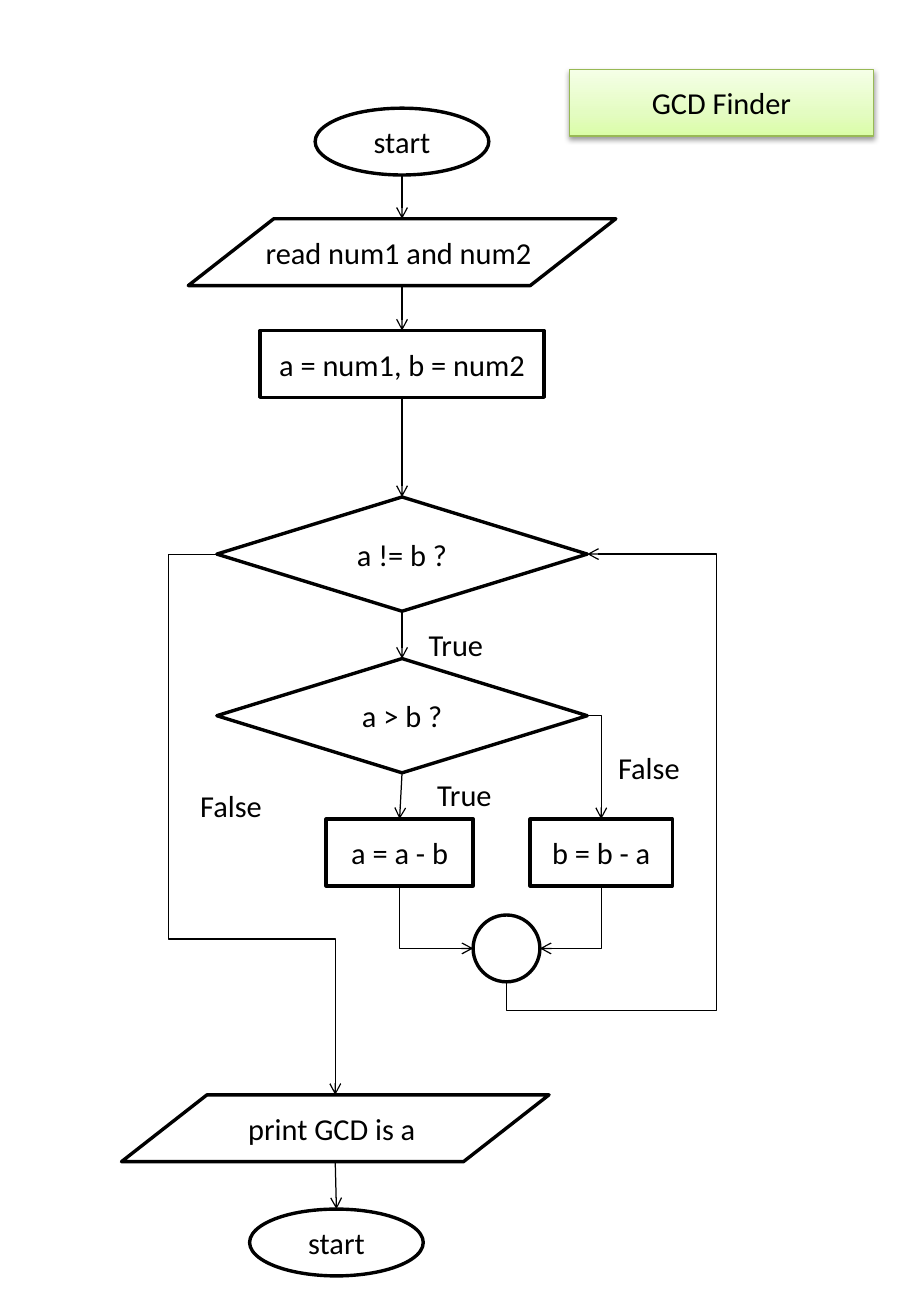
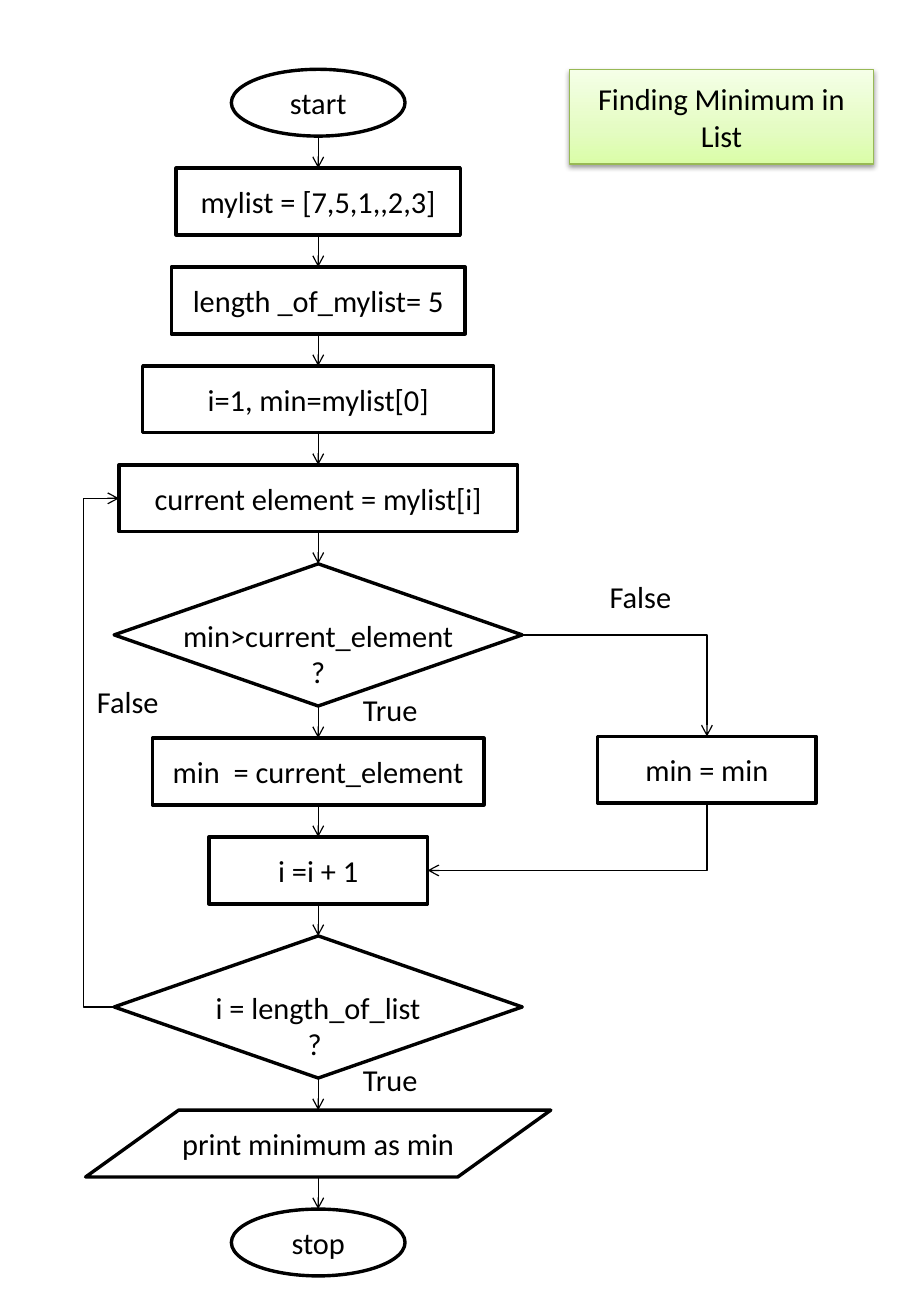
from dataclasses import dataclass

from lxml import etree
from pptx import Presentation
from pptx import util as u
from pptx.dml.color import RGBColor
from pptx.enum import shapes, text
from pptx.oxml.ns import qn


@dataclass(frozen=True)
class Theme:
    font: str = "Calibri"
    size: int = 18
    ink: str = "000000"
    paper: str = "FFFFFF"
    edge: str = "98B955"
    glow: tuple = ((0, "DAFDA7"), (35, "E4FCC2"), (100, "F5FFE7"))
    thick: float = 2
    thin: float = 0.75
    high: float = 0.55


T = Theme()
KIND = shapes.MSO_SHAPE
OVAL, BOX = KIND.OVAL, KIND.RECTANGLE
DATA, TEST = KIND.FLOWCHART_DATA, KIND.FLOWCHART_DECISION
TOP, LEFT, BASE, RIGHT = range(4)
# Connection site numbers for shapes with more than four sites
SITES = {OVAL: (0, 2, 4, 6), DATA: (1, 2, 4, 5)}
# Quarter turns of an elbow by the side it leaves from
TURN = {LEFT: 180, BASE: 90, RIGHT: 0}


def rgb(code):
    return RGBColor.from_string(code)


def sub(up, tag, **atts):
    return etree.SubElement(up, qn(tag), {k: str(v) for k, v in atts.items()})


def write(frame, words, align=text.PP_ALIGN.CENTER):
    """Set the words of a frame in the shared type style."""
    frame.text = words
    for par in frame.paragraphs:
        par.alignment = align
        for run in par.runs:
            run.font.name, run.font.size = T.font, u.Pt(T.size)
            run.font.color.rgb = rgb(T.ink)


def point(shape, side):
    """Middle of a side, in EMU."""
    x, y = shape.left + shape.width // 2, shape.top + shape.height // 2
    return {TOP: (x, shape.top), LEFT: (shape.left, y),
            BASE: (x, shape.top + shape.height),
            RIGHT: (shape.left + shape.width, y)}[side]


class Flow:
    """A flowchart whose parts are placed relative to its box corner."""

    def __init__(self, slide, left, top):
        self.draw = slide.shapes
        self.left, self.top = left, top

    def spot(self, x, y):
        return u.Inches(self.left + x), u.Inches(self.top + y)

    def node(self, kind, words, mid, top, wide, high=T.high):
        x, y = self.spot(mid - wide / 2, top)
        shape = self.draw.add_shape(kind, x, y, u.Inches(wide), u.Inches(high))
        shape.shadow.inherit = False
        shape.fill.solid()
        shape.fill.fore_color.rgb = rgb(T.paper)
        shape.line.color.rgb = rgb(T.ink)
        shape.line.width = u.Pt(T.thick)
        frame = shape.text_frame
        frame.word_wrap = False
        frame.vertical_anchor = text.MSO_ANCHOR.MIDDLE
        if "\n" in words:  # two-line tests sit half a line lower
            frame.margin_top = u.Inches(0.35)
        if words:
            write(frame, words)
        return shape

    def label(self, words, x, y):
        wide = u.Inches(0.71 if words == "False" else 0.66)
        box = self.draw.add_textbox(*self.spot(x, y), wide, u.Inches(0.4))
        box.text_frame.word_wrap = False
        write(box.text_frame, words, text.PP_ALIGN.LEFT)

    def link(self, start, out, end, into=TOP, lanes=None):
        """Arrow between two sides; lanes lists an elbow's inner lanes."""
        form = shapes.MSO_CONNECTOR
        kind = form.STRAIGHT if lanes is None else form.ELBOW
        a, b = point(start, out), point(end, into)
        wire = self.draw.add_connector(kind, *a, *b)
        wire.begin_connect(start, out)
        wire.end_connect(end, into)
        for tag, shape, side in (("stCxn", start, out), ("endCxn", end, into)):
            joint = next(wire._element.iter(qn("a:" + tag)))
            sites = SITES.get(shape.auto_shape_type, range(4))
            joint.set("idx", str(sites[side]))
        wire.line.color.rgb = rgb(T.ink)
        wire.line.width = u.Pt(T.thin)
        props = wire._element.spPr
        sub(props.find(qn("a:ln")), "a:tailEnd", type="arrow")
        sub(props, "a:effectLst")
        if lanes is not None:
            self.bend(wire, a, b, TURN[out], lanes)

    def bend(self, wire, a, b, turn, lanes):
        """Turn, flip and adjust an elbow so that it runs along its lanes."""
        gap = [b[0] - a[0], b[1] - a[1]]
        axis = 1 if turn == 90 else 0
        along, cross = gap[axis], gap[1 - axis]
        wire.width, wire.height = abs(along), abs(cross)
        wire.left = (a[0] + b[0] - abs(along)) // 2
        wire.top = (a[1] + b[1] - abs(cross)) // 2
        frame = wire._element.spPr.find(qn("a:xfrm"))
        frame.set("rot", str(turn * 60000))
        frame.set("flipH", str(int((along < 0) ^ (turn == 180))))
        frame.set("flipV", str(int((cross < 0) ^ (turn != 0))))
        geom = wire._element.spPr.find(qn("a:prstGeom"))
        geom.set("prst", f"bentConnector{2 + len(lanes)}")
        guides = geom.find(qn("a:avLst"))
        if guides is None:
            guides = sub(geom, "a:avLst")
        for i, lane in enumerate(lanes):
            way = (axis + i) % 2
            goal = self.spot(lane, lane)[way]
            part = round((goal - a[way]) / gap[way] * 100000)
            sub(guides, "a:gd", name=f"adj{i + 1}", fmla=f"val {part}")

    def chain(self, nodes):
        for a, b in zip(nodes, nodes[1:]):
            self.link(a, BASE, b)


def title(slide, words, high):
    """Green title plate in the top right corner."""
    plate = slide.shapes.title
    plate.left, plate.top = u.Inches(4.69), u.Inches(0.57)
    plate.width, plate.height = u.Inches(2.5), u.Inches(high)
    plate.fill.gradient()
    plate.fill.gradient_angle = 90
    stops = next(plate._element.iter(qn("a:gsLst")))
    for stop in list(stops):
        stops.remove(stop)
    for pos, code in T.glow:
        sub(sub(stops, "a:gs", pos=pos * 1000), "a:srgbClr", val=code)
    plate.line.color.rgb = rgb(T.edge)
    plate.line.width = u.Pt(T.thin)
    plate.shadow.inherit = False
    shade = sub(plate._element.spPr.find(qn("a:effectLst")), "a:outerShdw",
                blurRad=u.Pt(3.1), dist=u.Pt(1.6), dir=90 * 60000,
                rotWithShape=0)
    sub(sub(shade, "a:srgbClr", val=T.ink), "a:alpha", val=38000)
    frame = plate.text_frame
    frame.word_wrap = True
    frame.auto_size = text.MSO_AUTO_SIZE.NONE
    frame.vertical_anchor = text.MSO_ANCHOR.MIDDLE
    write(frame, words)


def divisor(slide):
    title(slide, "GCD Finder", T.high)
    flow = Flow(slide, 1, 0.89)
    mid, low = 2.31, 1.76

    # Main column
    start = flow.node(OVAL, "start", mid, 0, 1.43)
    read = flow.node(DATA, "read num1 and num2 ", mid, 0.91, 3.52)
    init = flow.node(BOX, "a = num1, b = num2", mid, 1.83, 2.34)
    same = flow.node(TEST, "a != b ?", mid, 3.2, 3.05, 0.94)
    more = flow.node(TEST, "a > b ?", mid, 4.53, 3.05, 0.94)

    # Branches and their meeting point
    cut_a = flow.node(BOX, "a = a - b", 2.29, 5.85, 1.21)
    cut_b = flow.node(BOX, "b = b - a", 3.95, 5.85, 1.17)
    meet = flow.node(OVAL, "", 3.17, 6.64, T.high)

    # Result
    show = flow.node(DATA, "print GCD is a ", low, 8.12, 3.52)
    stop = flow.node(OVAL, "start", low + 0.01, 9.06, 1.43)

    # Arrows
    flow.chain([start, read, init, same, more, cut_a])
    flow.chain([show, stop])
    flow.link(more, RIGHT, cut_b, TOP, [])
    flow.link(cut_a, BASE, meet, LEFT, [])
    flow.link(cut_b, BASE, meet, RIGHT, [])
    flow.link(meet, BASE, same, RIGHT, [7.43, 4.9])
    flow.link(same, LEFT, show, TOP, [0.39, 6.84])

    for words, x, y in (("False", 0.55, 5.54), ("True", 2.43, 4.21),
                        ("True", 2.5, 5.45), ("False", 3.99, 5.23)):
        flow.label(words, x, y)


def minimum(slide):
    title(slide, "Finding Minimum in List", 0.78)
    flow = Flow(slide, 0.69, 0.57)
    mid, tall = 1.93, 1.17

    # Main column, evenly spread over its height
    steps = [
        (OVAL, "start", 1.43, T.high),
        (BOX, "mylist = [7,5,1,,2,3]", 2.34, T.high),
        (BOX, "length _of_mylist= 5", 2.42, T.high),
        (BOX, "i=1, min=mylist[0]", 2.89, T.high),
        (BOX, "current element = mylist[i]", 3.28, T.high),
        (TEST, "min>current_element\n?", 3.36, tall),
        (BOX, "min  = current_element", 2.73, T.high),
        (BOX, "i =i + 1", 1.8, T.high),
        (TEST, "i = length_of_list\n? ", 3.36, tall),
        (DATA, "print minimum as min", 3.83, T.high),
        (OVAL, "stop", 1.43, T.high),
    ]
    gap = (9.93 - sum(s[3] for s in steps)) / (len(steps) - 1)
    nodes, top = [], 0
    for kind, words, wide, high in steps:
        nodes.append(flow.node(kind, words, mid, top, wide, high))
        top += high + gap
    flow.chain(nodes)

    # Side branch and loop
    item, less, count, done = nodes[4], nodes[5], nodes[7], nodes[8]
    keep = flow.node(BOX, "min = min", 5.13, 5.49, 1.8)
    flow.link(less, RIGHT, keep, TOP, [])
    flow.link(keep, BASE, count, RIGHT, [])
    flow.link(done, LEFT, item, LEFT, [0])

    for words, x, y in (("False", 4.23, 4.14), ("True", 2.2, 5.07),
                        ("False", 0.01, 5), ("True", 2.2, 8.11)):
        flow.label(words, x, y)


def main():
    deck = Presentation()
    deck.slide_width, deck.slide_height = u.Inches(7.5), u.Inches(10.83)
    for build in (divisor, minimum):
        build(deck.slides.add_slide(deck.slide_layouts[5]))
    deck.save("out.pptx")


if __name__ == "__main__":
    main()
